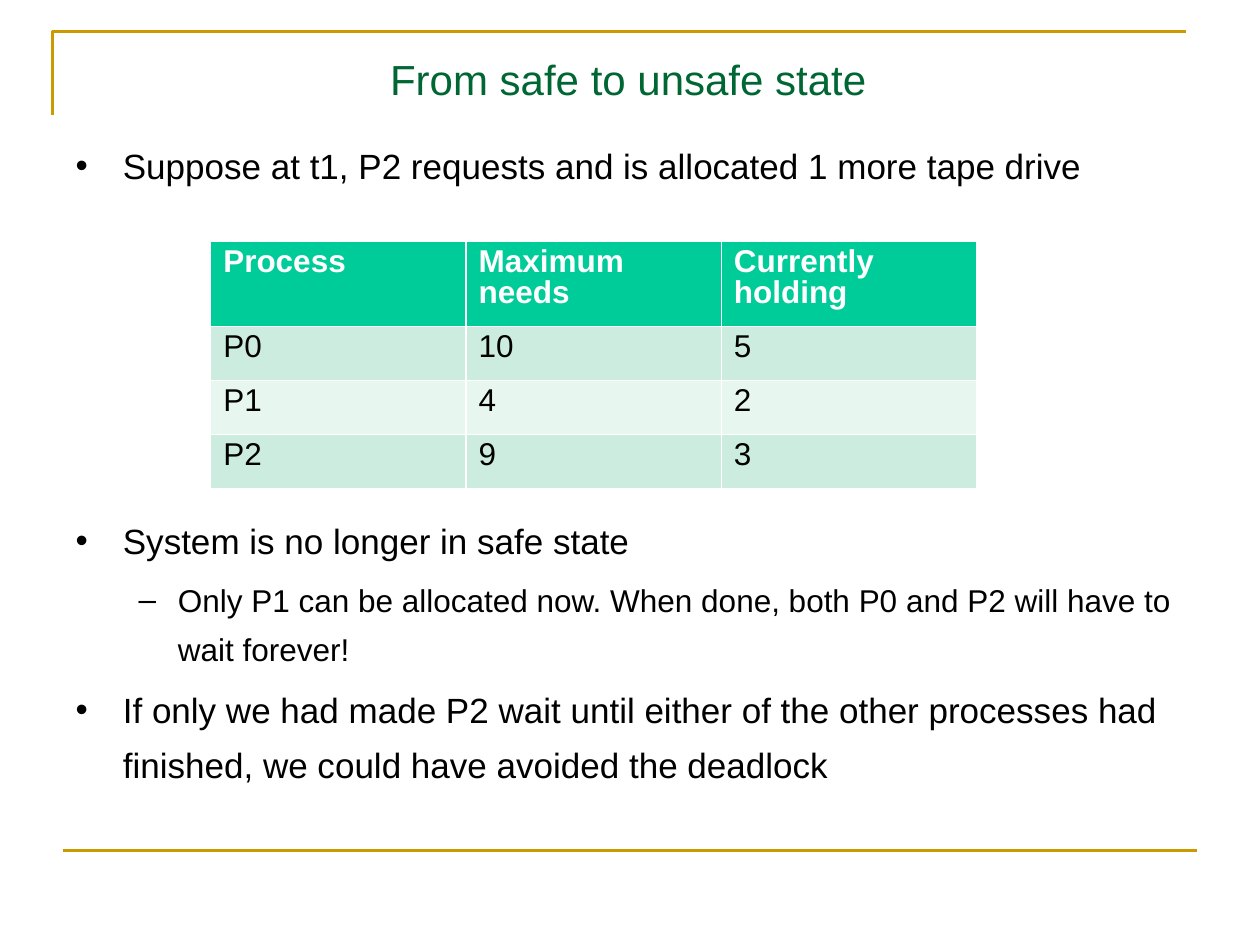
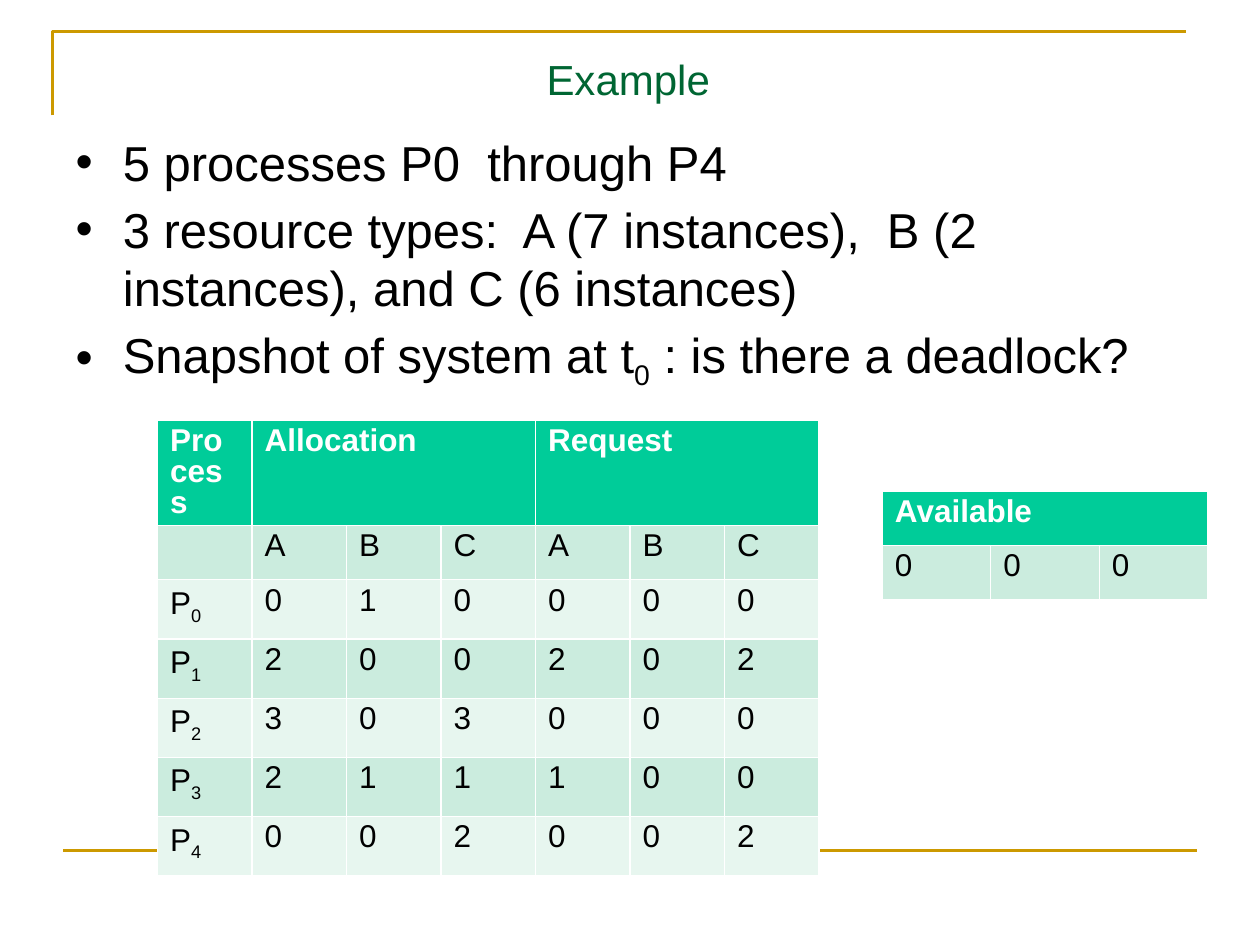
from lxml.etree import SubElement
from pptx import Presentation
from pptx.dml.color import RGBColor
from pptx.enum.shapes import MSO_CONNECTOR
from pptx.enum.text import MSO_ANCHOR, MSO_AUTO_SIZE, PP_ALIGN
from pptx.oxml.ns import qn
from pptx.util import Pt

WHITE = RGBColor(0xFF, 0xFF, 0xFF)
BLACK = RGBColor(0x00, 0x00, 0x00)
GOLD = RGBColor(0xCC, 0x99, 0x00)
DARK_GREEN = RGBColor(0x00, 0x66, 0x33)
HEADER_GREEN = RGBColor(0x00, 0xCC, 0x99)
ROW_TINTS = [RGBColor(0xCB, 0xEC, 0xDE), RGBColor(0xE7, 0xF6, 0xEF)]

FONT = "Arial"
TITLE_FORMAT = {"name": FONT, "size": Pt(24), "bold": False}
BODY_FORMAT = {"name": FONT, "bold": False}
HEADER_FORMAT = {"name": FONT, "size": Pt(18), "bold": True}
CELL_FORMAT = {"name": FONT, "size": Pt(18), "bold": False}
BULLETS = [("•", 27, -27), ("–", 58.5, -22.5)]
TEXT_LEFT, TEXT_WIDTH = 36, 646

DRIVES = [
    ["Process", "Maximum needs", "Currently holding"],
    ["P0", "10", "5"],
    ["P1", "4", "2"],
    ["P2", "9", "3"],
]
SNAPSHOT = [
    ["Process", "Allocation", None, None, "Request", None, None],
    ["", *"ABCABC"],
    ["P_0_", *"010000"],
    ["P_1_", *"200202"],
    ["P_2_", *"303000"],
    ["P_3_", *"211100"],
    ["P_4_", *"002002"],
]
AVAILABLE = [["Available", None, None], [*"000"]]


def write_spans(para, text, formats, color):
    for index, part in enumerate(text.split("_")):
        if not part:
            continue
        span = para.add_run()
        span.text = part
        for name, value in formats.items():
            setattr(span.font, name, value)
        span.font.color.rgb = color
        if index % 2:
            span._r.get_or_add_rPr().set("baseline", "-25000")


def place(box, top, height, anchor):
    box.left, box.top = Pt(TEXT_LEFT), Pt(top)
    box.width, box.height = Pt(TEXT_WIDTH), Pt(height)
    frame = box.text_frame
    frame.auto_size = MSO_AUTO_SIZE.NONE
    frame.word_wrap = True
    frame.vertical_anchor = anchor
    return frame


def add_page(deck, title):
    page = deck.slides.add_slide(deck.slide_layouts[1])
    frame = place(page.shapes.title, 24, 42, MSO_ANCHOR.MIDDLE)
    para = frame.paragraphs[0]
    para.alignment = PP_ALIGN.CENTER
    write_spans(para, title, TITLE_FORMAT, DARK_GREEN)
    return page


def set_bullet(para, level):
    symbol, margin, indent = BULLETS[level]
    properties = para._p.get_or_add_pPr()
    properties.set("marL", str(Pt(margin)))
    properties.set("indent", str(Pt(indent)))
    color = SubElement(properties, qn("a:buClr"))
    SubElement(color, qn("a:srgbClr"), val=str(BLACK))
    SubElement(properties, qn("a:buFont"), typeface=FONT)
    SubElement(properties, qn("a:buChar"), char=symbol)


def fill_list(page, height, line_spacing, items):
    frame = place(page.placeholders[1], 72, height, MSO_ANCHOR.TOP)
    for index, (text, level, size, space) in enumerate(items):
        para = frame.add_paragraph() if index else frame.paragraphs[0]
        para.level = level
        para.line_spacing = line_spacing
        para.space_before = Pt(space)
        set_bullet(para, level)
        write_spans(para, text, {**BODY_FORMAT, "size": Pt(size)}, BLACK)


def set_borders(cell):
    properties = cell._tc.get_or_add_tcPr()
    for side in ("lnL", "lnR", "lnT", "lnB"):
        line = SubElement(properties, qn(f"a:{side}"), w=str(Pt(0.75)))
        fill = SubElement(line, qn("a:solidFill"))
        SubElement(fill, qn("a:srgbClr"), val=str(WHITE))


def add_grid(page, left, top, column_width, row_heights, rows):
    columns = len(rows[0])
    table = page.shapes.add_table(
        len(rows), columns, Pt(left), Pt(top),
        Pt(column_width * columns), Pt(sum(row_heights))).table
    for column in table.columns:
        column.width = Pt(column_width)
    for row, (texts, height) in enumerate(zip(rows, row_heights)):
        table.rows[row].height = Pt(height)
        for column, text in enumerate(texts):
            cell = table.cell(row, column)
            set_borders(cell)
            cell.fill.solid()
            cell.fill.fore_color.rgb = ROW_TINTS[(row - 1) % 2] if row else HEADER_GREEN
            if text:
                para = cell.text_frame.paragraphs[0]
                para.line_spacing = 0.88
                write_spans(para, text, CELL_FORMAT if row else HEADER_FORMAT,
                            BLACK if row else WHITE)
    starts = [column for column, text in enumerate(rows[0]) if text]
    for start, following in zip(starts, starts[1:] + [columns]):
        if following - start > 1:
            table.cell(0, start).merge(table.cell(0, following - 1))


def add_master_rules(deck, page):
    builder = page.shapes.build_freeform(Pt(30), Pt(66))
    builder.add_line_segments([(Pt(30), Pt(18)), (Pt(678), Pt(18))], close=False)
    corner = builder.convert_to_shape()
    corner.fill.background()
    corner.shadow.inherit = False
    footer = page.shapes.add_connector(
        MSO_CONNECTOR.STRAIGHT, Pt(36), Pt(486), Pt(684), Pt(486))
    for number, rule in enumerate((corner, footer), 20):
        rule.line.color.rgb = GOLD
        rule.line.width = Pt(1.5)
        rule.element.xpath(".//p:cNvPr")[0].set("id", str(number))
    SubElement(footer.element.spPr, qn("a:effectLst"))
    for rule in (corner, footer):
        deck.slide_master.shapes.element.append(rule.element)


def main():
    deck = Presentation()
    deck.slide_width, deck.slide_height = Pt(720), Pt(540)

    unsafe = add_page(deck, "From safe to unsafe state")
    add_master_rules(deck, unsafe)
    fill_list(unsafe, 410, 1.3, [
        ("Suppose at t1, P2 requests and is allocated 1 more tape drive", 0, 20, 0),
        ("System is no longer in safe state", 0, 20, 183),
        ("Only P1 can be allocated now. When done, both P0 and P2 "
         "will have to wait forever!", 1, 18, 4.5),
        ("If only we had made P2 wait until either of the other processes "
         "had finished, we could have avoided the deadlock", 0, 20, 4.5),
    ])
    add_grid(unsafe, 120.4, 138, 145.9, [48.6] + [30.9] * 3, DRIVES)

    example = add_page(deck, "Example")
    fill_list(example, 193, 1.0, [
        ("5 processes P0  through P4", 0, 28, 0),
        ("3 resource types:  A (7 instances),  B (2 instances), "
         "and C (6 instances)", 0, 28, 4.5),
        ("Snapshot of system at t_0_ : is there a deadlock?", 0, 28, 4.5),
    ])
    add_grid(example, 90, 240, 54, [59.4, 30.9] + [33.8] * 5, SNAPSHOT)
    add_grid(example, 504.2, 280.8, 62, [30.9] * 2, AVAILABLE)

    deck.save("out.pptx")


if __name__ == "__main__":
    main()
